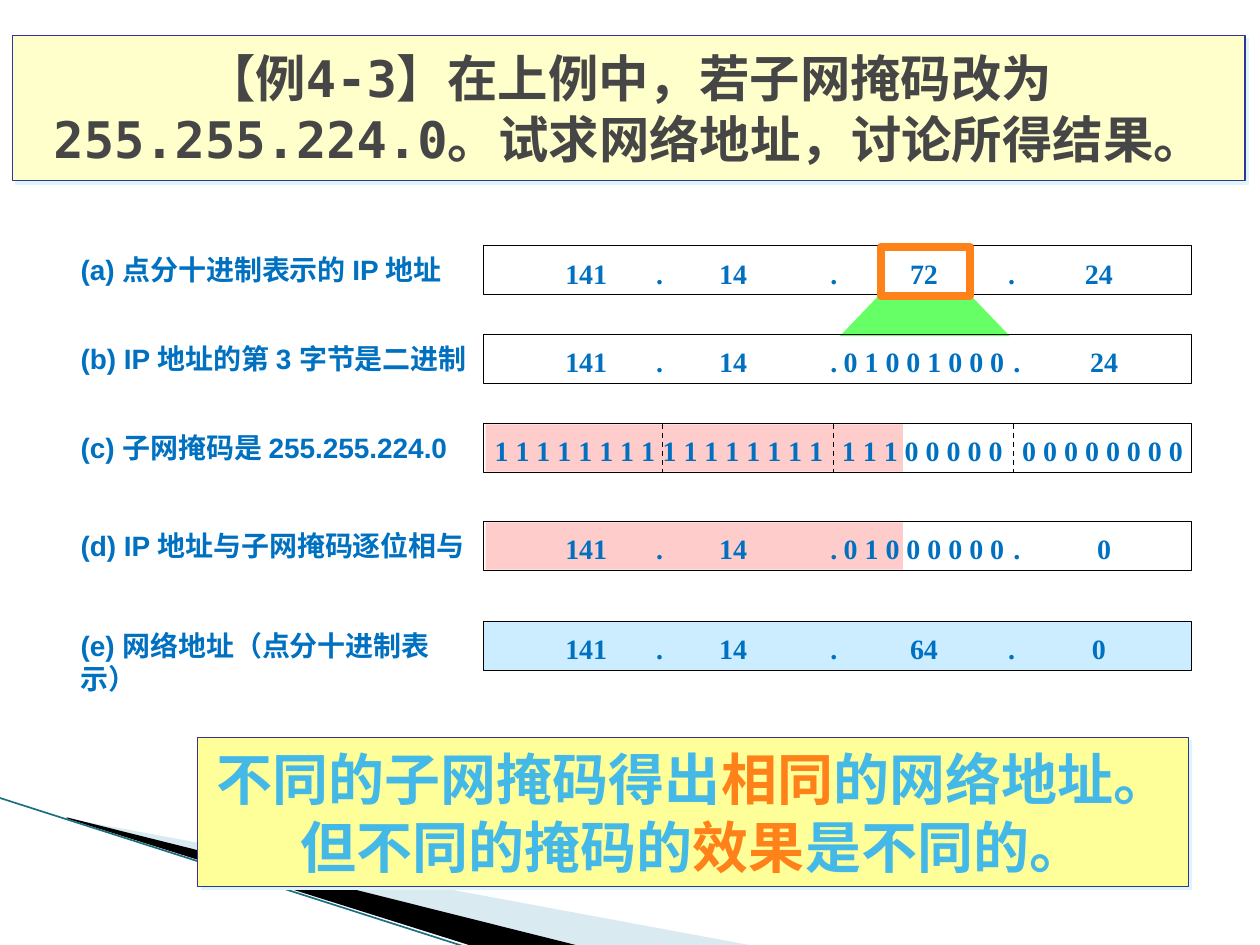
"""Build the subnet mask example slide."""
from lxml import etree
from pptx import Presentation
from pptx import util as u
from pptx.dml.color import RGBColor
from pptx.enum import dml, shapes, text
from pptx.oxml.ns import qn

Pt = u.Pt
BLUE, ORANGE, SKY, PINK = "0070C0", "FF8119", "44B9E8", "FFCCCC"
SERIF, SANS, MONO = "Times New Roman", "Arial", "DejaVu Sans Mono"
CENTER = text.PP_ALIGN.CENTER

prs = Presentation()
prs.slide_width, prs.slide_height = Pt(720), Pt(540)
s = prs.slides.add_slide(prs.slide_layouts[6])


def paint(sp, fill=None, line=None, width=0.75):
    sp.shadow.inherit = False
    if fill:
        sp.fill.solid()
        sp.fill.fore_color.rgb = RGBColor.from_string(fill)
    else:
        sp.fill.background()
    if line:
        sp.line.color.rgb = RGBColor.from_string(line)
        sp.line.width = Pt(width)
    else:
        sp.line.fill.background()
    return sp


def write(sp, lines, size, font, align, anchor, wrap=True):
    tf = sp.text_frame
    tf.word_wrap = wrap
    tf.vertical_anchor = anchor
    for i, parts in enumerate(lines):
        p = tf.paragraphs[0] if i == 0 else tf.add_paragraph()
        p.alignment = align
        for words, color in parts:
            r = p.add_run()
            r.text = words
            r.font.size, r.font.name, r.font.bold = Pt(size), font, True
            r.font.color.rgb = RGBColor.from_string(color)


polygons = [
    ([(39.6, 468.5), (428.4, 540), (328.3, 540), (39.6, 468)], "A0CBDC"),
    ([(38.2, 467.3), (329, 540), (267.8, 540), (38.9, 468)], "000000"),
    ([(503.3, 167.8), (554.4, 167.8), (576.7, 192.2), (480.2, 192.2)], "66FF66"),
]
for points, color in polygons:
    fb = s.shapes.build_freeform(*points[0], scale=Pt(1))
    fb.add_line_segments(points[1:])
    sp = paint(fb.convert_to_shape(), color)
    if color == "A0CBDC":
        clr = sp.fill._xPr.find(qn("a:solidFill"))[0]
        etree.SubElement(clr, qn("a:alpha"), val="40000")

ROW_TOPS = [140.5, 191, 242, 298, 355]
LEFT, ROW_W, ROW_H = 276.5, 404.5, 28
MASK_W = 238.5
boxes = [(LEFT + 1, top + 0.5, MASK_W, ROW_H - 1, PINK, None, 0) for top in ROW_TOPS[2:4]]
boxes += [(LEFT, top, ROW_W, ROW_H, None, "000000", 0.75) for top in ROW_TOPS[:4]]
boxes += [
    (LEFT, ROW_TOPS[4], ROW_W, ROW_H, "CCECFF", "000000", 0.75),
    (503.3, 141, 51.1, ROW_H, None, ORANGE, 4.5),
]
for x, y, w, h, fill, line, width in boxes:
    sp = s.shapes.add_shape(shapes.MSO_SHAPE.RECTANGLE, Pt(x), Pt(y), Pt(w), Pt(h))
    paint(sp, fill, line, width)

mask_top = ROW_TOPS[2]
lines = [(x, mask_top, x, mask_top + ROW_H, "000000", 0.75) for x in (378.5, 476.5, 579)]
lines.append((-0.7, 455.8, 267.1, 541.4, "1B6F80", 0.95))
for x1, y1, x2, y2, color, width in lines:
    c = s.shapes.add_connector(shapes.MSO_CONNECTOR.STRAIGHT, Pt(x1), Pt(y1), Pt(x2), Pt(y2))
    c.line.color.rgb = RGBColor.from_string(color)
    c.line.width = Pt(width)
    if x1 == x2:
        c.line.dash_style = dml.MSO_LINE.DASH
    etree.SubElement(c._element.spPr, qn("a:effectLst"))

labels = [
    ("(a) 点分十进制表示的 IP 地址", 225.5),
    ("(b) IP 地址的第 3 字节是二进制", 239.5),
    ("(c) 子网掩码是 255.255.224.0", 227),
    ("(d) IP 地址与子网掩码逐位相与", 238.5),
    ("(e) 网络地址（点分十进制表示）", 225.5),
]
for (label, w), top in zip(labels, ROW_TOPS):
    sp = s.shapes.add_textbox(Pt(39), Pt(top + 0.5), Pt(w), Pt(26.5))
    write(sp, [[(label, BLUE)]], 16, SANS, text.PP_ALIGN.LEFT, text.MSO_ANCHOR.TOP)

CENTERS = [335, 377, 419, 476.5, 528, 578, 628]
BIT_CENTERS = [335, 377, 419, 476.5, 528, 581, 631]
MASK_CENTERS = [328.5, 424.5, 527, 630]
ONES, ZEROS = "1 1 1 1 1 1 1 1", "0 0 0 0 0 0 0 0"
rows = [
    (["141", ".", "14", ".", "72", ".", "24"], CENTERS),
    (["141", ".", "14", ".", "0 1 0 0 1 0 0 0", ".", "24"], BIT_CENTERS),
    ([ONES, ONES, "1 1 1 0 0 0 0 0", ZEROS], MASK_CENTERS),
    (["141", ".", "14", ".", "0 1 0 0 0 0 0 0", ".", "0"], BIT_CENTERS),
    (["141", ".", "14", ".", "64", ".", "0"], CENTERS),
]
for (values, centers), top in zip(rows, ROW_TOPS):
    for value, x in zip(values, centers):
        w = 8 * len(value) + 20
        sp = s.shapes.add_textbox(Pt(x - w / 2), Pt(top + 1.5), Pt(w), Pt(ROW_H))
        write(sp, [[(value, BLUE)]], 16, SERIF, CENTER, text.MSO_ANCHOR.MIDDLE, False)

title = [[("【例4-3】在上例中，若子网掩码改为255.255.224.0。试求网络地址，讨论所得结果。", "464646")]]
conclusion = [
    [("不同的子网掩码得出", SKY), ("相同", ORANGE), ("的网络地址。", SKY)],
    [("但不同的掩码的", SKY), ("效果", ORANGE), ("是不同的。", SKY)],
]
panels = [
    (7, 20.2, 704.5, 83, "FFFFCC", title, 28.8, True),
    (113, 421.5, 566, 85, "FFFF99", conclusion, 32, False),
]
for x, y, w, h, fill, content, size, wrap in panels:
    sp = s.shapes.add_shape(shapes.MSO_SHAPE.RECTANGLE, Pt(x), Pt(y), Pt(w), Pt(h))
    paint(sp, fill, "333399")
    effects = sp._element.spPr.find(qn("a:effectLst"))
    shadow = etree.SubElement(effects, qn("a:outerShdw"), dist=str(Pt(2.8)), dir="2700000")
    etree.SubElement(shadow, qn("a:srgbClr"), val="DEF5FA")
    write(sp, content, size, MONO, CENTER, text.MSO_ANCHOR.MIDDLE, wrap)

prs.save("out.pptx")
